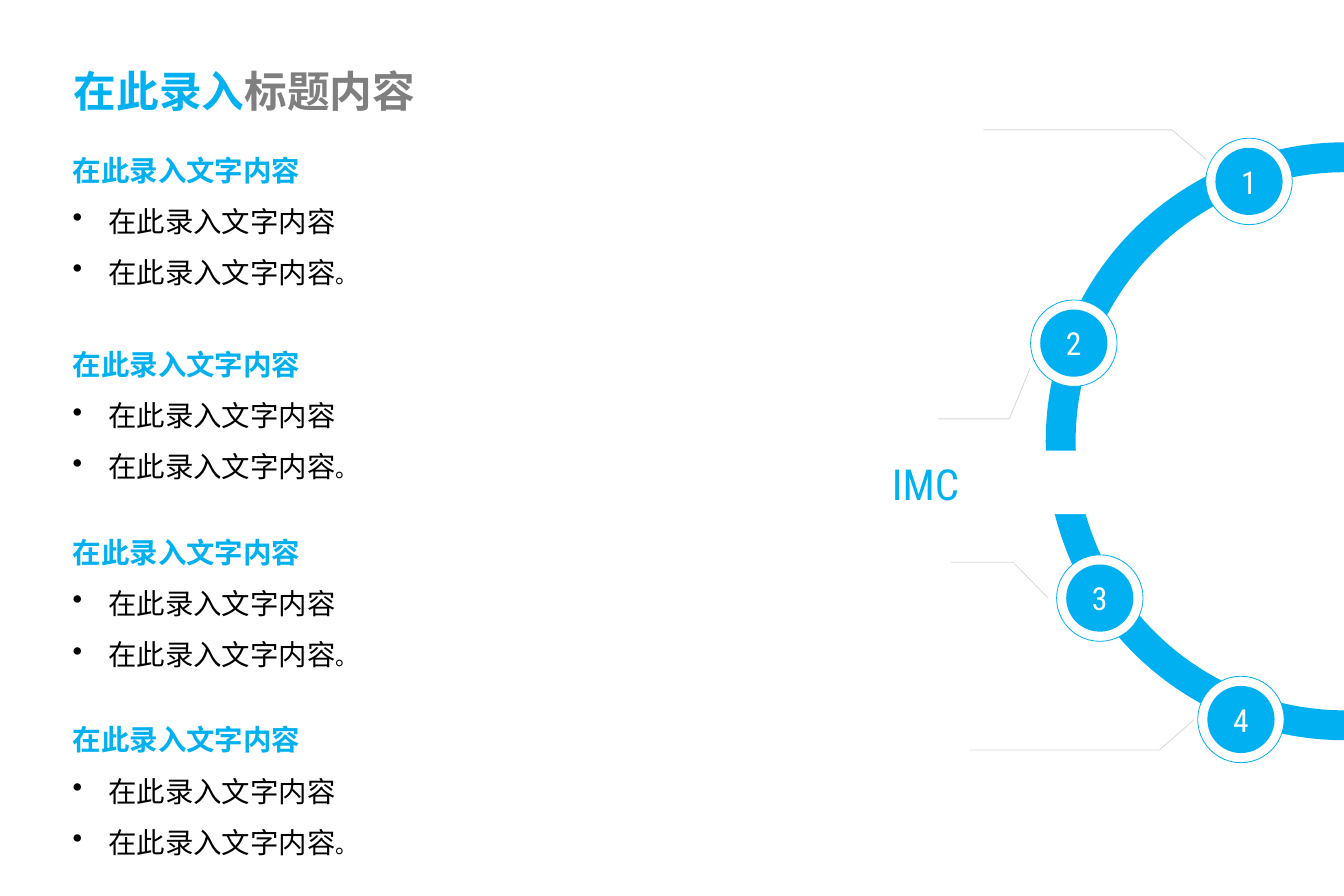
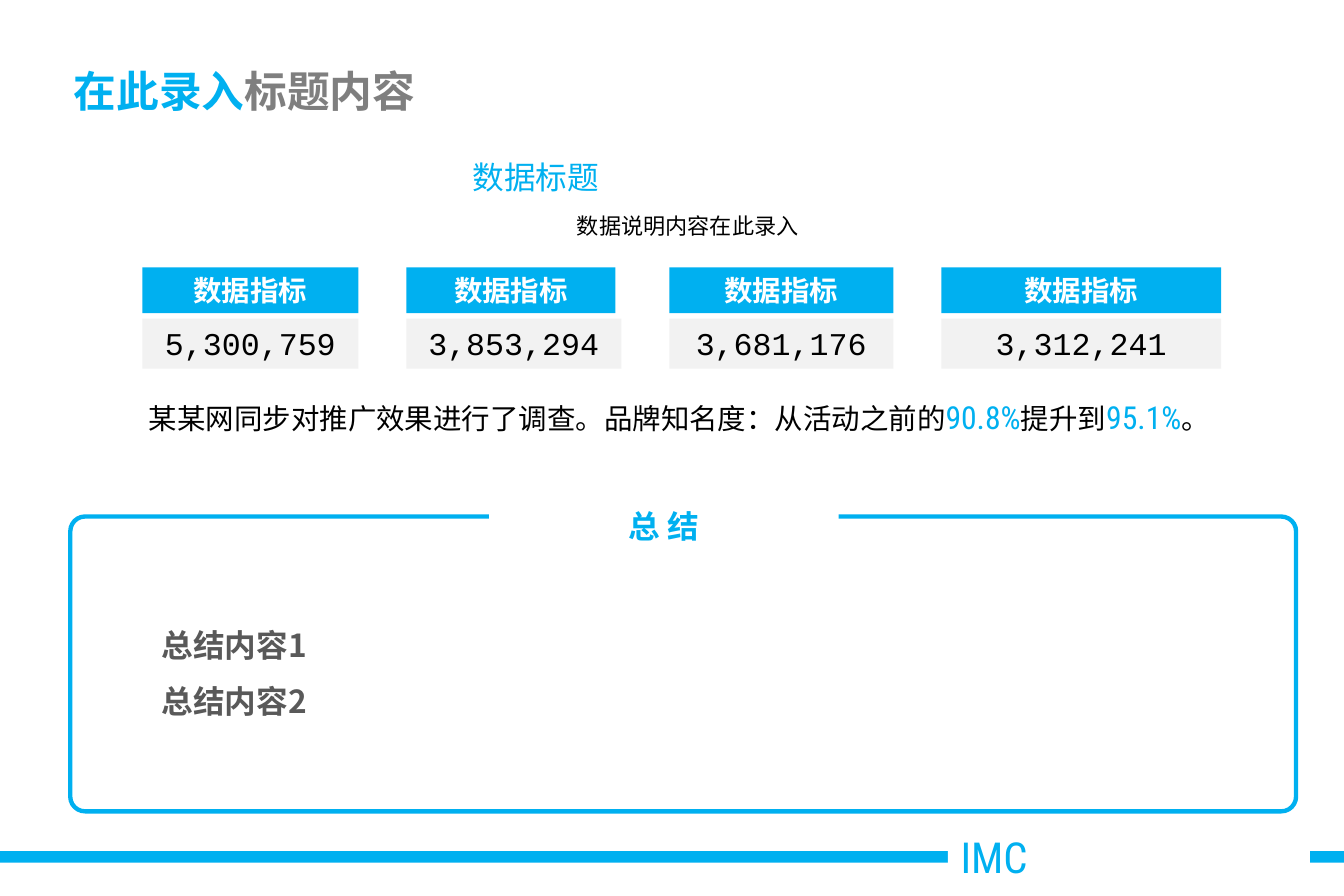
from dataclasses import dataclass
from typing import NamedTuple

from lxml import etree
from pptx import Presentation
from pptx.dml.color import RGBColor
from pptx.enum.shapes import MSO_SHAPE
from pptx.enum.text import MSO_ANCHOR, PP_ALIGN
from pptx.oxml.ns import qn
from pptx.util import Emu, Inches, Pt

RECT, ROUNDED = MSO_SHAPE.RECTANGLE, MSO_SHAPE.ROUNDED_RECTANGLE
OVAL, BLOCK_ARC = MSO_SHAPE.OVAL, MSO_SHAPE.BLOCK_ARC
LEFT, CENTER = PP_ALIGN.LEFT, PP_ALIGN.CENTER
TOP, MIDDLE = MSO_ANCHOR.TOP, MSO_ANCHOR.MIDDLE

BLUE = RGBColor(0x00, 0xB0, 0xF0)
WHITE = RGBColor(0xFF, 0xFF, 0xFF)
BLACK = RGBColor(0x00, 0x00, 0x00)
TITLE_GRAY = RGBColor(0x7F, 0x7F, 0x7F)
TEXT_GRAY = RGBColor(0x59, 0x59, 0x59)
LEADER_GRAY = RGBColor(0xD8, 0xD8, 0xD8)
PALE = RGBColor(0xF2, 0xF2, 0xF2)

CJK, LATIN, BODY, MONO = "Noto Sans CJK SC", "Roboto Condensed", "Calibri", "Courier New"

SLIDE_W, SLIDE_H = Inches(11.81), Inches(7.87)
COLUMNS, ROWS = 300, 200  # every length below is in these grid cells
BULLET_INDENT, HANGING_INDENT = 7.9, 28.7
NORMAL_INSETS, WIDE_INSETS = (2.54, 1.27), (2.8, 1.5)


class Area(NamedTuple):
    x: float
    y: float
    w: float
    h: float


class Point(NamedTuple):
    x: float
    y: float


@dataclass(frozen=True)
class Run:
    text: str
    size: float
    color: RGBColor
    font: str = CJK
    bold: bool = False


@dataclass(frozen=True)
class Para:
    runs: tuple[Run, ...]
    align: PP_ALIGN = LEFT
    spacing: float = 1.0
    indent: float = 0
    bullet: bool = False


@dataclass(frozen=True)
class Stop:
    number: str
    center: Point
    leader: tuple[Point, ...]


@dataclass(frozen=True)
class Metric:
    value: str
    x: float
    head_w: float
    value_w: float


STOPS = (
    Stop("1", Point(278.8, 40.5), (Point(269.3, 35.6), Point(261.6, 29), Point(219.5, 29))),
    Stop("2", Point(239.7, 76.6), (Point(229.9, 82.3), Point(225.3, 93.5), Point(209.3, 93.5))),
    Stop("3", Point(245.5, 133.5), (Point(233.9, 133.4), Point(226.1, 125.5), Point(212.3, 125.5))),
    Stop("4", Point(277, 160.6), (Point(266.4, 160.8), Point(258.8, 167.4), Point(216.4, 167.4))),
)
METRICS = (
    Metric("5,300,759", 31.8, 48.2, 48.2),
    Metric("3,853,294", 90.7, 46.7, 48),
    Metric("3,681,176", 149.4, 50, 50),
    Metric("3,312,241", 210.1, 62.5, 62.5),
)
SECTION_TOPS = (29, 72.4, 114.3, 156.2)


def col(value: float) -> Emu:
    return Emu(round(SLIDE_W * value / COLUMNS))


def row(value: float) -> Emu:
    return Emu(round(SLIDE_H * value / ROWS))


def place(area: Area) -> tuple[Emu, Emu, Emu, Emu]:
    return col(area.x), row(area.y), col(area.w), row(area.h)


def around(center: Point, diameter: float) -> Area:
    return Area(center.x - diameter / 2, center.y - diameter / 2, diameter, diameter)


def write(shape, paras: tuple[Para, ...], anchor=TOP, insets=NORMAL_INSETS) -> None:
    frame = shape.text_frame
    frame.word_wrap = True
    frame.vertical_anchor = anchor
    frame.margin_left = frame.margin_right = col(insets[0])
    frame.margin_top = frame.margin_bottom = row(insets[1])
    for index, para in enumerate(paras):
        paragraph = frame.add_paragraph() if index else frame.paragraphs[0]
        paragraph.alignment = para.align
        paragraph.line_spacing = para.spacing
        properties = paragraph._p.get_or_add_pPr()
        if para.indent:
            properties.set("marL", str(col(para.indent)))
            properties.set("indent", str(-col(para.indent)))
        if para.bullet:
            etree.SubElement(properties, qn("a:buChar")).set("char", "•")
        for part in para.runs:
            run = paragraph.add_run()
            run.text = part.text
            run.font.size = Pt(part.size)
            run.font.bold = part.bold
            run.font.color.rgb = part.color
            run.font.name = part.font
            east_asian = etree.SubElement(run._r.get_or_add_rPr(), qn("a:ea"))
            east_asian.set("typeface", CJK)


def add_text(slide, area: Area, *paras: Para, anchor=TOP, insets=NORMAL_INSETS) -> None:
    write(slide.shapes.add_textbox(*place(area)), paras, anchor, insets)


def add_block(shapes, kind, area: Area, fill=None, line=None, line_width: float = 0.5):
    block = shapes.add_shape(kind, *place(area))
    block.shadow.inherit = False
    if fill is None:
        block.fill.background()
    else:
        block.fill.solid()
        block.fill.fore_color.rgb = fill
    if line is None:
        block.line.fill.background()
    else:
        block.line.color.rgb = line
        block.line.width = Pt(line_width)
    return block


def add_title(slide) -> None:
    title = Para((Run("在此录入", 27, BLUE, bold=True), Run("标题内容", 27, TITLE_GRAY, bold=True)))
    add_text(slide, Area(13.7, 12.4, 270, 15.7), title, anchor=MIDDLE, insets=WIDE_INSETS)


def add_mark(slide, x: float, y: float) -> None:
    """White plate with the IMC label, interrupting whatever lies behind it."""
    plate = add_block(slide.shapes, RECT, Area(x, y, 80.8, 14.2), WHITE)
    write(plate, (Para((Run("IMC", 27, BLUE, LATIN),)),), insets=WIDE_INSETS)


def add_leader(slide, points: tuple[Point, ...]) -> None:
    start, *rest = [(col(point.x), row(point.y)) for point in points]
    builder = slide.shapes.build_freeform(*start)
    builder.add_line_segments(rest, close=False)
    leader = builder.convert_to_shape()
    leader.shadow.inherit = False
    leader.fill.background()
    leader.line.color.rgb = LEADER_GRAY
    leader.line.width = Pt(0.5)


def add_section(slide, top: float) -> None:
    phrase = "在此录入文字内容"
    item = Run(phrase, 18, BLACK)
    add_text(
        slide, Area(13.7, top, 216, 36.8),
        Para((Run(phrase, 18, BLUE, bold=True),), spacing=1.5),
        Para((item,), spacing=1.5, indent=BULLET_INDENT, bullet=True),
        Para((item, Run("。", 14, BLACK)), spacing=1.5, indent=BULLET_INDENT, bullet=True),
    )


def add_metric(slide, metric: Metric) -> None:
    shapes = slide.shapes.add_group_shape().shapes
    head = add_block(shapes, RECT, Area(metric.x, 59.7, metric.head_w, 10.2), BLUE)
    write(head, (Para((Run("数据指标", 18, WHITE, BODY, True),), CENTER),))
    value = add_block(shapes, RECT, Area(metric.x, 71.1, metric.value_w, 11.2), PALE)
    write(value, (Para((Run(metric.value, 20, BLACK, MONO),), CENTER),))


def build_ring_slide(slide) -> None:
    ring = add_block(slide.shapes, BLOCK_ARC, Area(233.4, 31.8, 133.4, 133.4), BLUE)
    ring.rotation = 270
    for index, amount in enumerate((108, 0, 0.05)):
        ring.adjustments[index] = amount
    for stop in STOPS:
        add_block(slide.shapes, OVAL, around(stop.center, 19.3), WHITE, BLUE)
        disc = add_block(slide.shapes, OVAL, around(stop.center, 15), BLUE)
        write(disc, (Para((Run(stop.number, 20, WHITE, LATIN),), CENTER),), MIDDLE)
    add_mark(slide, 196.3, 100.6)
    for top in SECTION_TOPS:
        add_section(slide, top)
    add_title(slide)
    for stop in STOPS:
        add_leader(slide, stop.leader)


def build_data_slide(slide) -> None:
    add_block(slide.shapes, RECT, Area(0, 190, COLUMNS, 2.6), BLUE)
    add_mark(slide, 211.6, 183.9)
    frame = add_block(slide.shapes, ROUNDED, Area(15.7, 115.3, 273.6, 65.8), None, BLUE, 2.75)
    frame.adjustments[0] = 0.05
    add_title(slide)
    for metric in METRICS:
        add_metric(slide, metric)
    add_text(slide, Area(33.3, 46.2, 240.5, 8.6),
             Para((Run("数据说明内容在此录入", 14, BLACK),), CENTER))
    heading = add_block(slide.shapes, RECT, Area(102.9, 34, 90.4, 11.2), WHITE)
    write(heading, (Para((Run("数据标题", 20, BLUE),)),))
    survey = (
        Run("某某网同步对推广效果进行了调查。品牌知名度：从活动之前的", 18, BLACK),
        Run("90.8%", 20, BLUE, LATIN),
        Run("提升到", 18, BLACK),
        Run("95.1%", 20, BLUE, LATIN),
        Run("。", 18, BLACK),
    )
    add_text(slide, Area(30.7, 87.6, 245.6, 19.6), Para(survey, indent=HANGING_INDENT))
    label = add_block(slide.shapes, RECT, Area(109.2, 107.7, 78, 15.2), WHITE)
    write(label, (Para((Run("总 结", 20, BLUE, bold=True),), CENTER, 1.5),))
    conclusions = [Para((Run(text, 20, TEXT_GRAY, bold=True),), spacing=1.5)
                   for text in ("总结内容1", "总结内容2")]
    add_text(slide, Area(33.5, 134.1, 150.1, 27.9), *conclusions)


def main() -> None:
    deck = Presentation()
    deck.slide_width, deck.slide_height = SLIDE_W, SLIDE_H
    blank = deck.slide_layouts[6]
    for build in (build_ring_slide, build_data_slide):
        build(deck.slides.add_slide(blank))
    deck.save("out.pptx")


if __name__ == "__main__":
    main()
